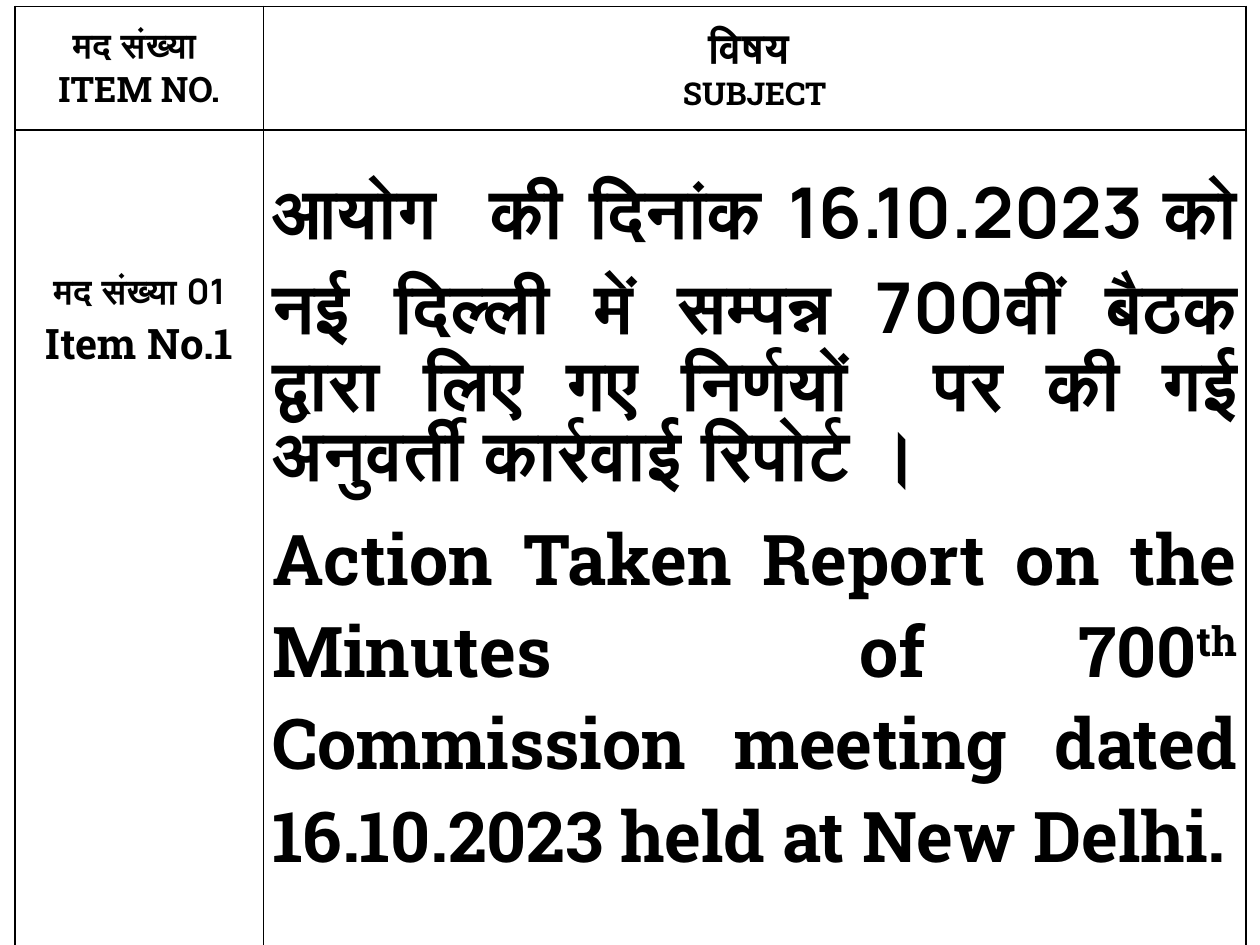
from lxml import etree
from pptx import Presentation
from pptx.dml.color import RGBColor
from pptx.enum.text import PP_ALIGN
from pptx.oxml.ns import qn
from pptx.util import Inches, Pt

CENTER, JUSTIFY = PP_ALIGN.CENTER, PP_ALIGN.JUSTIFY
COLORS = {"ink": "000000"}
HINDI, ENGLISH = "Manrope", "Roboto Slab"


class AgendaSlide:
    def __init__(self, prs):
        self.s = prs.slides.add_slide(prs.slide_layouts[6])
        self.ink = RGBColor.from_string(COLORS["ink"])

    def table(self, left, top, widths, heights):
        frame = self.s.shapes.add_table(
            len(heights), len(widths), Inches(left), Inches(top),
            Inches(sum(widths)), Inches(sum(heights)))
        table = frame.table
        table.first_row = table.horz_banding = False
        for column, width in zip(table.columns, widths):
            column.width = Inches(width)
        for row, height in zip(table.rows, heights):
            row.height = Inches(height)
        for cell in table.iter_cells():
            self.borders(cell)
            cell.fill.background()
            cell.margin_left = cell.margin_right = Inches(0.07)
            cell.margin_top = cell.margin_bottom = 0
        return table

    def borders(self, cell):
        props = cell._tc.get_or_add_tcPr()
        for side in ("a:lnL", "a:lnR", "a:lnT", "a:lnB"):
            line = etree.SubElement(props, qn(side), w=str(Pt(1)))
            fill = etree.SubElement(line, qn("a:solidFill"))
            etree.SubElement(fill, qn("a:srgbClr"), val=COLORS["ink"])

    def run(self, p, text, font, size, superscript=False):
        r = p.add_run()
        r.text = text
        r.font.name = font
        r.font.size = Pt(size)
        r.font.bold = True
        r.font.color.rgb = self.ink
        if superscript:
            r.font._element.set("baseline", "30000")

    def bilingual(self, cell, top, hindi, english, sizes, align=CENTER, gap=0):
        cell.margin_top = Inches(top)
        tf = cell.text_frame
        p = tf.paragraphs[0]
        p.alignment = align
        self.run(p, hindi, HINDI, sizes[0])
        p = tf.add_paragraph()
        p.alignment = align
        p.space_before = Pt(gap)
        self.run(p, english, ENGLISH, sizes[1])
        return p


def main():
    prs = Presentation()
    prs.slide_width, prs.slide_height = Inches(10), Inches(7.5)
    slide = AgendaSlide(prs)
    table = slide.table(0.12, 0.05, [1.97, 7.8], [0.98, 7.13, 6.19])

    slide.bilingual(table.cell(0, 0), 0.19, "मद संख्या ", "ITEM NO.", (20, 20))
    slide.bilingual(table.cell(0, 1), 0.19, "विषय ", "SUBJECT", (24, 18))
    slide.bilingual(table.cell(1, 0), 1.09, "मद संख्या 01", "Item No.1", (20, 24))

    p = slide.bilingual(
        table.cell(1, 1), 0.27,
        "आयोग  की दिनांक 16.10.2023 को नई दिल्ली में सम्पन्न 700वीं बैठक "
        "द्वारा लिए गए निर्णयों  पर की गई अनुवर्ती कार्रवाई रिपोर्ट ।",
        "Action Taken Report on the Minutes  of 700",
        (40, 40), JUSTIFY, gap=10)
    slide.run(p, "th", ENGLISH, 40, superscript=True)
    p.add_line_break()
    slide.run(p, "Commission meeting dated 16.10.2023 held at New Delhi.", ENGLISH, 40)

    prs.save("out.pptx")


if __name__ == "__main__":
    main()
